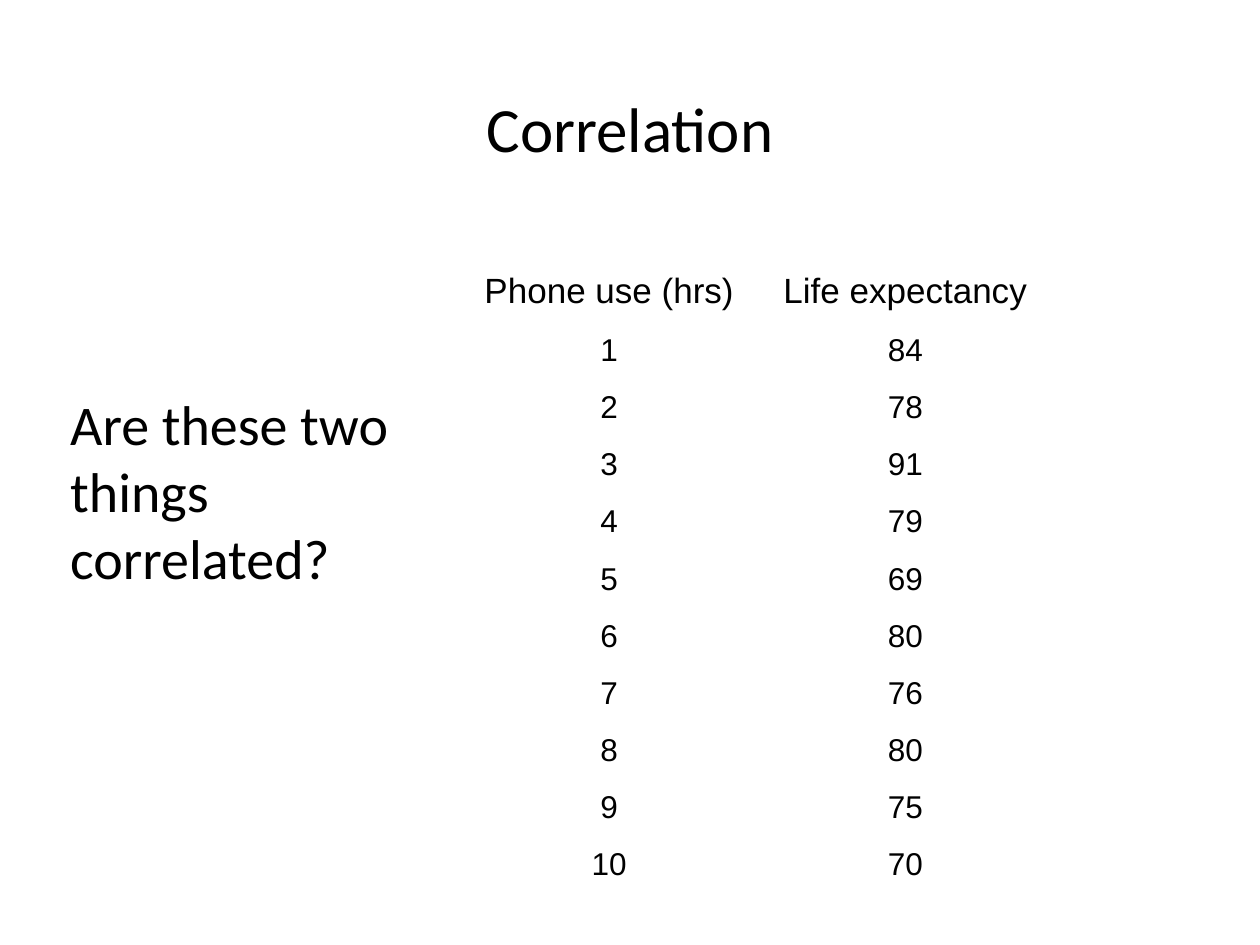
from dataclasses import dataclass

from pptx import Presentation
from pptx.dml.color import RGBColor
from pptx.enum.text import MSO_ANCHOR, PP_ALIGN
from pptx.util import Pt

LEFT, CENTER = PP_ALIGN.LEFT, PP_ALIGN.CENTER
MIDDLE, BOTTOM = MSO_ANCHOR.MIDDLE, MSO_ANCHOR.BOTTOM


@dataclass(frozen=True)
class Theme:
    """Hold the colours, fonts and type sizes."""

    ink: RGBColor = RGBColor(0, 0, 0)
    text_font: str = "Calibri"
    grid_font: str = "Arial"
    title: int = 36
    body: int = 32
    head: int = 20
    cell: int = 18


class Deck:
    """Add styled elements to the current slide."""

    def __init__(self, theme):
        """Open a deck with one title slide."""
        self.theme = theme
        self.file = Presentation()
        self.file.slide_width, self.file.slide_height = Pt(720), Pt(540)
        self.slide = self.file.slides.add_slide(self.file.slide_layouts[5])

    def style(self, para, font, size, align):
        """Set the type of one paragraph."""
        para.alignment = align
        para.font.name, para.font.size = font, Pt(size)
        para.font.bold = False
        para.font.color.rgb = self.theme.ink

    def title(self, text, left, top, width, height):
        """Fill and place the title."""
        shape = self.slide.shapes.title
        shape.left, shape.top = Pt(left), Pt(top)
        shape.width, shape.height = Pt(width), Pt(height)
        frame = shape.text_frame
        frame.text, frame.vertical_anchor = text, MIDDLE
        self.style(frame.paragraphs[0], self.theme.text_font, self.theme.title, CENTER)

    def text(self, text, left, top, width, height):
        """Add a wrapped text box, one paragraph a line."""
        box = self.slide.shapes.add_textbox(Pt(left), Pt(top), Pt(width), Pt(height))
        frame = box.text_frame
        frame.word_wrap, frame.text = True, text
        for para in frame.paragraphs:
            self.style(para, self.theme.text_font, self.theme.body, LEFT)

    def table(self, rows, left, top, width, head, step):
        """Add a plain table with a tall head row."""
        height = head + step * (len(rows) - 1)
        grid = self.slide.shapes.add_table(
            len(rows), len(rows[0]), Pt(left), Pt(top), Pt(width), Pt(height)
        ).table
        grid.first_row = grid.horz_banding = False
        for i, row in enumerate(rows):
            grid.rows[i].height = Pt(step if i else head)
            size = self.theme.cell if i else self.theme.head
            for j, value in enumerate(row):
                cell = grid.cell(i, j)
                cell.text, cell.vertical_anchor = str(value), BOTTOM
                cell.fill.background()
                para = cell.text_frame.paragraphs[0]
                self.style(para, self.theme.grid_font, size, CENTER)


def main():
    """Build and save the slide."""
    ages = [84, 78, 91, 79, 69, 80, 76, 80, 75, 70]
    rows = [("Phone use (hrs)", "Life expectancy"), *enumerate(ages, 1)]
    deck = Deck(Theme())
    deck.title("Correlation", 54, 48, 612, 50)
    deck.table(rows, 263.5, 108, 338.4, 73.5, 32.65)
    deck.text("Are these two things\ncorrelated?", 33, 219, 278.5, 84)
    deck.file.save("out.pptx")


if __name__ == "__main__":
    main()
